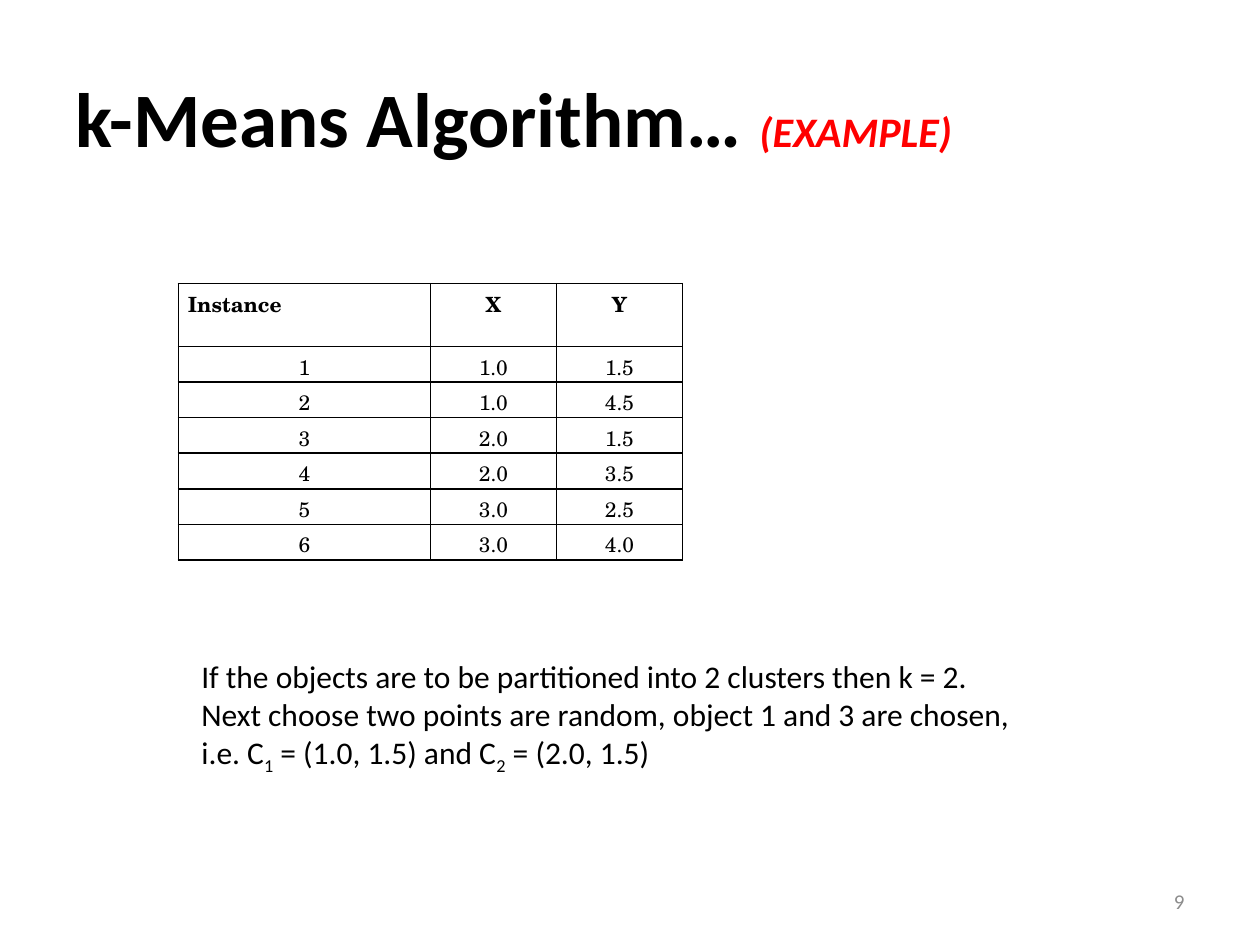
from dataclasses import dataclass, field

from lxml.etree import SubElement
from pptx import Presentation
from pptx.dml.color import RGBColor
from pptx.enum.text import MSO_ANCHOR as Anchor, PP_ALIGN as Align
from pptx.oxml.ns import qn
from pptx.util import Pt

SANS, SERIF = "Calibri", "TeX Gyre Schola"


@dataclass
class Box:
    left: float
    top: float
    width: float
    height: float

    def place(self) -> list:
        return [Pt(v) for v in (self.left, self.top, self.width, self.height)]


@dataclass
class Run:
    text: str
    form: dict = field(default_factory=dict)
    shift: int = 0  # baseline shift in percent


def color(code: str) -> RGBColor:
    return RGBColor.from_string(code)


def add_runs(para, runs: list[Run], base: dict, align: Align) -> None:
    para.alignment = align
    for item in runs:
        run = para.add_run()
        run.text = item.text
        for key, value in {**base, **item.form}.items():
            if key == "color":
                run.font.color.rgb = color(value)
            else:
                setattr(run.font, key, value)
        if item.shift:
            run.font._element.set("baseline", str(item.shift * 1000))


def add_text(slide, box: Box, lines: list[list[Run]], base: dict,
             align: Align, anchor: Anchor) -> None:
    frame = slide.shapes.add_textbox(*box.place()).text_frame
    frame.word_wrap = True
    frame.vertical_anchor = anchor
    for i, runs in enumerate(lines):
        para = frame.add_paragraph() if i else frame.paragraphs[0]
        add_runs(para, runs, base, align)


def add_edges(cell, code: str, width: float) -> None:
    props = cell._tc.get_or_add_tcPr()
    for side in ("lnL", "lnR", "lnT", "lnB"):
        line = SubElement(props, qn(f"a:{side}"), w=str(Pt(width)))
        fill = SubElement(line, qn("a:solidFill"))
        SubElement(fill, qn("a:srgbClr"), val=code)


def add_grid(slide, box: Box, rows: list[tuple], widths: list[float],
             heights: list[float]) -> None:
    table = slide.shapes.add_table(len(rows), len(widths), *box.place()).table
    table.first_row = table.horz_banding = False
    for col, width in zip(table.columns, widths):
        col.width = Pt(width)
    for r, row in enumerate(rows):
        table.rows[r].height = Pt(heights[r])
        for c, text in enumerate(row):
            cell = table.cell(r, c)
            cell.margin_left = cell.margin_right = Pt(5.4)
            cell.margin_top = cell.margin_bottom = 0
            add_edges(cell, "000000", 1)
            cell.fill.background()
            para = cell.text_frame.paragraphs[0]
            para.line_spacing = 1.15
            form = {"name": SERIF, "size": Pt(12), "bold": r == 0, "color": "000000"}
            add_runs(para, [Run(text)], form, Align.CENTER if r or c else Align.JUSTIFY)


def main() -> None:
    deck = Presentation()
    deck.slide_width, deck.slide_height = Pt(720), Pt(540)
    slide = deck.slides.add_slide(deck.slide_layouts[5])

    # Title
    title = slide.shapes.title
    title.left, title.top, title.width, title.height = Box(36, 21.6, 648, 90).place()
    title.text_frame.vertical_anchor = Anchor.MIDDLE
    note = {"size": Pt(24), "italic": True, "color": "FF0000"}
    add_runs(title.text_frame.paragraphs[0],
             [Run("k-Means Algorithm… "), Run("(EXAMPLE)", note)],
             {"name": SANS, "size": Pt(44), "bold": True, "color": "000000"}, Align.LEFT)

    # Table of instances
    points = [(1.0, 1.5), (1.0, 4.5), (2.0, 1.5), (2.0, 3.5), (3.0, 2.5), (3.0, 4.0)]
    rows = [("Instance", "X", "Y")]
    rows += [(str(n), f"{x:.1f}", f"{y:.1f}") for n, (x, y) in enumerate(points, 1)]
    add_grid(slide, Box(102, 162, 288, 144), rows, [144, 72, 72],
             [36] + [18] * len(points))

    # Choice of the first centres
    lines = [
        [Run("If the objects are to be partitioned into 2 clusters then k = 2.")],
        [Run("Next choose two points are random, object 1 and 3 are chosen,")],
        [Run("i.e. C"), Run("1", shift=-25), Run(" = (1.0, 1.5) and C"),
         Run("2", shift=-25), Run(" = (2.0, 1.5)")],
    ]
    add_text(slide, Box(108, 372, 504, 94.5), lines,
             {"name": SANS, "size": Pt(18), "color": "000000"}, Align.JUSTIFY, Anchor.TOP)

    # Slide number
    add_text(slide, Box(516, 500.5, 168, 28.75), [[Run("9")]],
             {"name": SANS, "size": Pt(12), "color": "8C8C8C"}, Align.RIGHT, Anchor.MIDDLE)

    deck.save("out.pptx")


if __name__ == "__main__":
    main()
